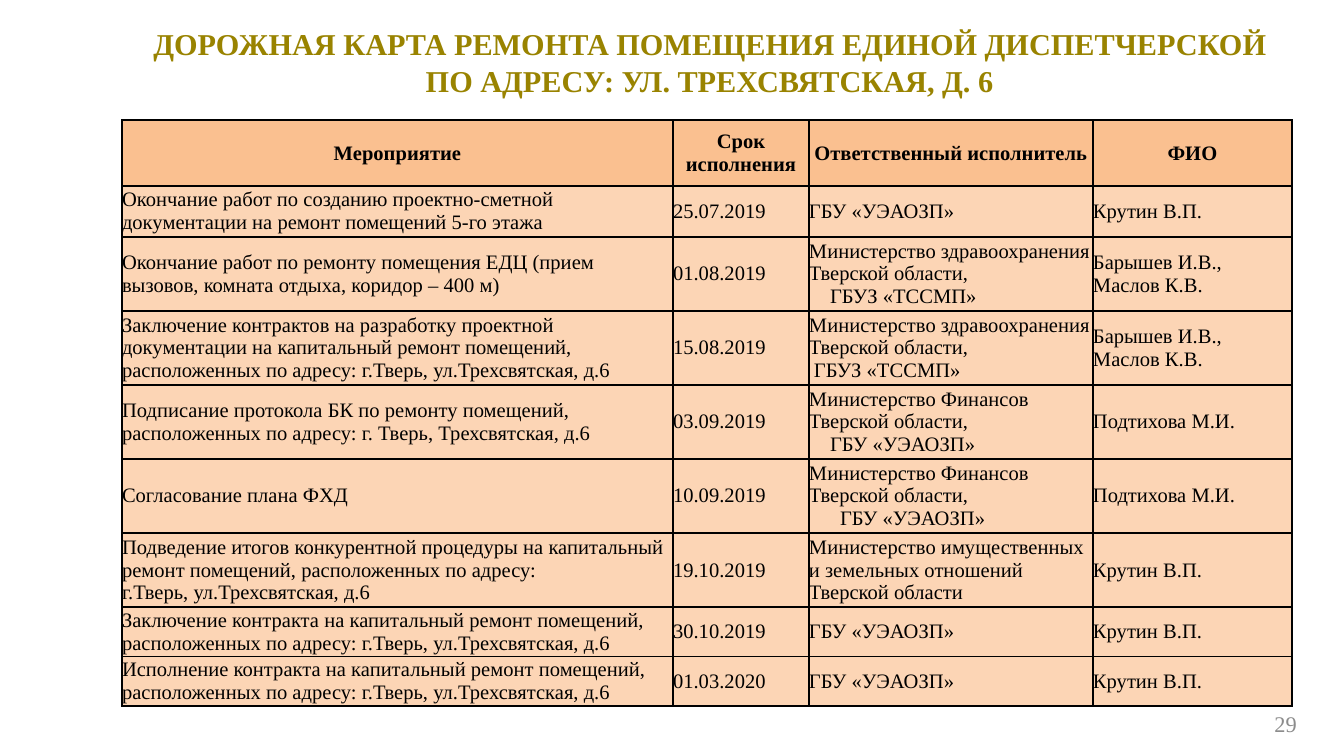
from lxml import etree
from pptx import Presentation
from pptx import util as u
from pptx.dml.color import RGBColor
from pptx.enum import text
from pptx.oxml import ns

FONT = "Times New Roman"
COLORS = {
    "title": "998300",
    "ink": "000000",
    "number": "8C8C8C",
    "header": "FAC090",
    "body": "FCD5B5",
}
HEADERS = ["Мероприятие", "Срок исполнения", "Ответственный исполнитель", "ФИО"]
ADDRESS = "г.Тверь, ул.Трехсвятская, д.6"
OFFICE = "ГБУ «УЭАОЗП»"
HEALTH = "Министерство здравоохранения Тверской области,\nГБУЗ «ТССМП»"
FINANCE = f"Министерство Финансов Тверской области,\n{OFFICE}"
PROPERTY = "Министерство имущественных и земельных отношений Тверской области"
KRUTIN = "Крутин В.П."
PAIR = "Барышев И.В., Маслов К.В."
PODTIKHOVA = "Подтихова М.И."
STAGES = [
    ("Окончание работ по созданию проектно-сметной документации на ремонт помещений 5-го этажа",
     "25.07.2019", OFFICE, KRUTIN),
    ("Окончание работ по ремонту помещения ЕДЦ (прием вызовов, комната отдыха, коридор – 400 м)",
     "01.08.2019", HEALTH, PAIR),
    ("Заключение контрактов на разработку проектной документации на капитальный ремонт "
     f"помещений, расположенных по адресу: {ADDRESS}",
     "15.08.2019", HEALTH, PAIR),
    ("Подписание протокола БК по ремонту помещений, "
     "расположенных по адресу: г. Тверь, Трехсвятская, д.6",
     "03.09.2019", FINANCE, PODTIKHOVA),
    ("Согласование плана ФХД", "10.09.2019", FINANCE, PODTIKHOVA),
    ("Подведение итогов конкурентной процедуры на капитальный ремонт помещений, "
     f"расположенных по адресу:\n{ADDRESS}",
     "19.10.2019", PROPERTY, KRUTIN),
    (f"Заключение контракта на капитальный ремонт помещений, расположенных по адресу: {ADDRESS}",
     "30.10.2019", OFFICE, KRUTIN),
    (f"Исполнение контракта на капитальный ремонт помещений, расположенных по адресу: {ADDRESS}",
     "01.03.2020", OFFICE, KRUTIN),
]
INDENTS = [0, 21, 5, 21, 31, 0, 0, 0]
COLUMN_WIDTHS = [551, 136, 284, 199]
ROW_HEIGHTS = [66, 51, 69, 69, 69, 69, 69, 46, 46]


def px(length):
    """Turn pixels at 134.4 to the inch into EMU."""
    return u.Emu(round(length * 914400 / 134.4))


def place(shape, box):
    """Move and size a shape to a box of left, top, width, height."""
    shape.left, shape.top, shape.width, shape.height = map(px, box)


def format_text(frame, size, color, align, bold=False):
    """Give every paragraph of a frame one font and alignment."""
    for para in frame.paragraphs:
        para.alignment = align
        for span in para.runs:
            span.font.name = FONT
            span.font.size = u.Pt(size)
            span.font.bold = bold
            span.font.color.rgb = RGBColor.from_string(COLORS[color])


def add_borders(cell):
    """Draw a thin dark line on all four sides of a cell."""
    properties = cell._tc.get_or_add_tcPr()
    for place_in_order, side in enumerate(("lnL", "lnR", "lnT", "lnB")):
        line = etree.Element(ns.qn(f"a:{side}"), w=str(u.Pt(1)))
        fill = etree.SubElement(line, ns.qn("a:solidFill"))
        etree.SubElement(fill, ns.qn("a:srgbClr"), val=COLORS["ink"])
        properties.insert(place_in_order, line)


def fill_cell(cell, content, header, indent=0):
    """Write and format one table cell, indenting its later paragraphs."""
    inset = px(1 if header else 0)
    cell.margin_left = cell.margin_right = cell.margin_top = inset
    cell.margin_bottom = 0
    cell.vertical_anchor = text.MSO_ANCHOR.MIDDLE
    cell.text_frame.text = content
    align = text.PP_ALIGN.CENTER if header else text.PP_ALIGN.LEFT
    format_text(cell.text_frame, 11, "ink", align, header)
    for para in cell.text_frame.paragraphs[1:]:
        para._p.get_or_add_pPr().set("marL", str(px(indent)))
    cell.fill.solid()
    cell.fill.fore_color.rgb = RGBColor.from_string(COLORS["header" if header else "body"])
    add_borders(cell)


def add_title(page, box):
    """Place the slide title in its box."""
    title = page.shapes.title
    place(title, box)
    frame = title.text_frame
    frame.text = ("ДОРОЖНАЯ КАРТА РЕМОНТА ПОМЕЩЕНИЯ ЕДИНОЙ ДИСПЕТЧЕРСКОЙ "
                  "ПО АДРЕСУ: УЛ. ТРЕХСВЯТСКАЯ, Д. 6")
    frame.word_wrap = True
    frame.auto_size = text.MSO_AUTO_SIZE.NONE
    frame.vertical_anchor = text.MSO_ANCHOR.MIDDLE
    format_text(frame, 16.2, "title", text.PP_ALIGN.CENTER, True)


def add_roadmap(page, box):
    """Build the table of repair stages in its box."""
    rows = [HEADERS, *STAGES]
    table = page.shapes.add_table(len(rows), len(HEADERS), *map(px, box)).table
    for column, width in zip(table.columns, COLUMN_WIDTHS):
        column.width = px(width)
    for row, height in zip(table.rows, ROW_HEIGHTS):
        row.height = px(height)
    for r, (contents, indent) in enumerate(zip(rows, [0, *INDENTS])):
        for c, content in enumerate(contents):
            fill_cell(table.cell(r, c), content, r == 0, indent)


def add_page_number(page, box):
    """Place the page number at the right of its box."""
    frame = page.shapes.add_textbox(*map(px, box)).text_frame
    frame.text = "29"
    frame.word_wrap = True
    frame.vertical_anchor = text.MSO_ANCHOR.MIDDLE
    format_text(frame, 12, "number", text.PP_ALIGN.RIGHT)


def main():
    """Build the one-slide deck and save it."""
    deck = Presentation()
    deck.slide_width, deck.slide_height = px(1344), px(756)
    page = deck.slides.add_slide(deck.slide_layouts[5])
    add_page_number(page, (997, 704, 313, 40))
    add_title(page, (122, 31, 1175, 62))
    add_roadmap(page, (122, 120, sum(COLUMN_WIDTHS), sum(ROW_HEIGHTS)))
    deck.save("out.pptx")


if __name__ == "__main__":
    main()
